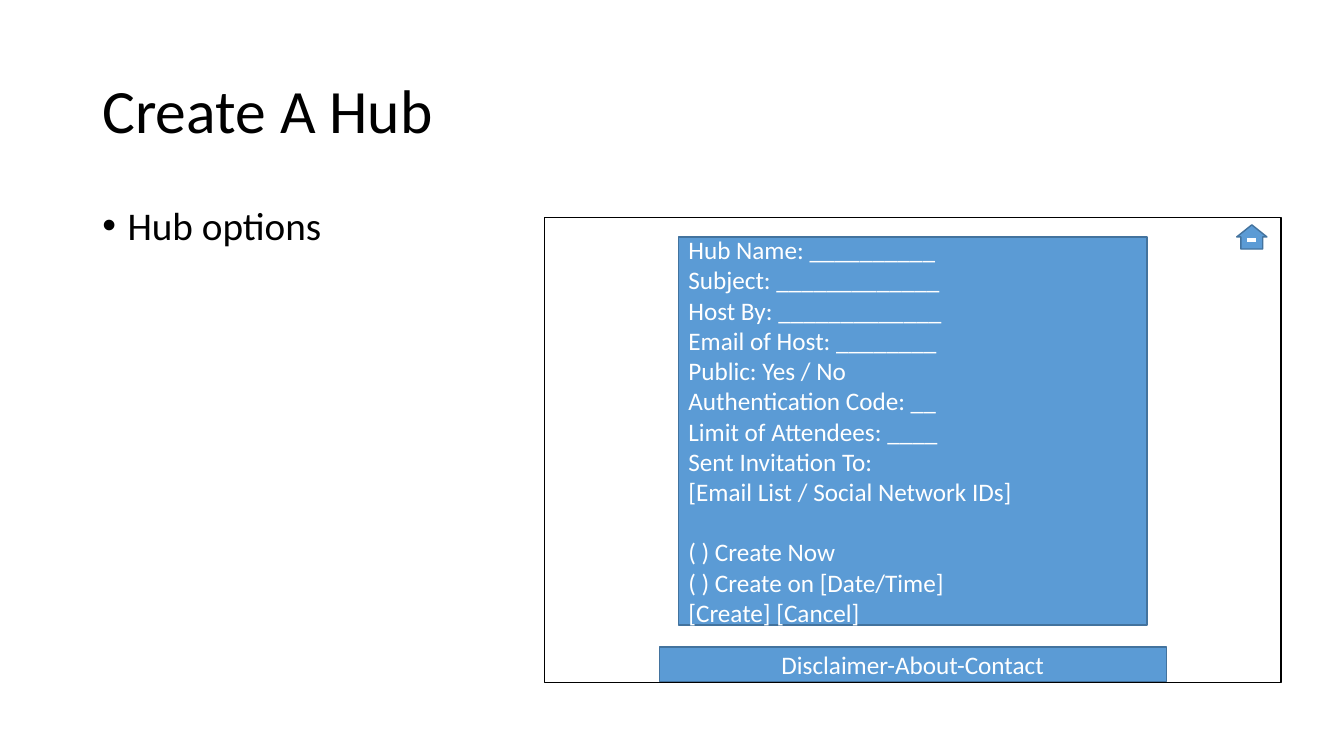
from lxml import etree
from pptx import Presentation
from pptx.dml.color import RGBColor
from pptx.enum.shapes import MSO_SHAPE
from pptx.enum.text import MSO_ANCHOR, MSO_AUTO_SIZE, PP_ALIGN
from pptx.oxml.ns import qn
from pptx.util import Pt

FONT = "Calibri"
BLACK, WHITE, BLUE, DARK_BLUE = "000000", "FFFFFF", "5B9BD5", "43739E"
FORM_LINE = 21.6
FORM_FIELDS = [
    "Hub Name: __________",
    "Subject: _____________",
    "Host By: _____________",
    "Email of Host: ________",
    "Public: Yes / No",
    "Authentication Code: __",
    "Limit of Attendees: ____",
    "Sent Invitation To:",
    "[Email List / Social Network IDs]",
]
FORM_ACTIONS = ["( ) Create Now", "( ) Create on [Date/Time]", "[Create] [Cancel]"]


def rgb(hex_color):
    """Turn a hex string into a colour."""
    return RGBColor.from_string(hex_color)


def write(frame, lines, size, color, align=PP_ALIGN.LEFT, anchor=MSO_ANCHOR.MIDDLE):
    """Fill a text frame with one paragraph per line and return the paragraphs."""
    frame.word_wrap = True
    frame.auto_size = MSO_AUTO_SIZE.NONE
    frame.vertical_anchor = anchor
    frame.text = "\n".join(lines)
    for paragraph in frame.paragraphs:
        paragraph.alignment = align
        font = paragraph.runs[0].font
        font.name, font.size, font.color.rgb = FONT, Pt(size), rgb(color)
    return frame.paragraphs


def add_box(shapes, box, fill=BLUE, line=DARK_BLUE, kind=MSO_SHAPE.RECTANGLE):
    """Add a filled, outlined preset shape without shadow."""
    shape = shapes.add_shape(kind, *map(Pt, box))
    shape.shadow.inherit = False
    shape.fill.solid()
    shape.fill.fore_color.rgb = rgb(fill)
    shape.line.color.rgb = rgb(line)
    shape.line.width = Pt(1)
    return shape


def set_title(slide, text, box):
    """Place and format the title placeholder."""
    title = slide.shapes.title
    title.left, title.top, title.width, title.height = map(Pt, box)
    write(title.text_frame, [text], 44, BLACK)[0].line_spacing = 0.9


def add_bullets(slide, lines, box):
    """Add a text box with a bulleted list."""
    frame = slide.shapes.add_textbox(*map(Pt, box)).text_frame
    for paragraph in write(frame, lines, 28, BLACK, anchor=MSO_ANCHOR.TOP):
        paragraph.line_spacing = 0.9
        paragraph.space_before = Pt(10)
        props = paragraph._p.get_or_add_pPr()
        props.set("marL", str(Pt(18)))
        props.set("indent", str(-Pt(18)))
        etree.SubElement(props, qn("a:buFont")).set("typeface", "Arial")
        etree.SubElement(props, qn("a:buChar")).set("char", "•")


def add_form(slide, box):
    """Add the hub form, with a one-line gap before its actions."""
    form = add_box(slide.shapes, box)
    paragraphs = write(form.text_frame, FORM_FIELDS + FORM_ACTIONS, 18, WHITE)
    paragraphs[len(FORM_FIELDS)].space_before = Pt(FORM_LINE)


def add_home_icon(slide, left, top):
    """Add a house: a wide up arrow with a small window, grouped."""
    house = slide.shapes.add_group_shape().shapes
    roof = add_box(house, (left, top, 21.6, 17.3), kind=MSO_SHAPE.UP_ARROW)
    roof.adjustments[0], roof.adjustments[1] = 0.722, 0.5
    add_box(house, (left + 7.2, top + 8.6, 7.2, 4.3), WHITE, BLUE)


def main():
    """Build and save the slide."""
    deck = Presentation()
    deck.slide_width, deck.slide_height = Pt(960), Pt(540)
    slide = deck.slides.add_slide(deck.slide_layouts[5])
    set_title(slide, "Create A Hub", (66, 28.8, 828, 104.4))
    add_bullets(slide, ["Hub options"], (66, 144, 240, 342.7))
    add_box(slide.shapes, (388.8, 155.5, 526.3, 332), WHITE, BLACK)
    footer = add_box(slide.shapes, (470.9, 462.2, 362.2, 24.5))
    write(footer.text_frame, ["Disclaimer-About-Contact"], 18, WHITE, PP_ALIGN.CENTER)
    add_form(slide, (484.6, 169.2, 334.8, 277.2))
    add_home_icon(slide, 883.4, 160.6)
    deck.save("out.pptx")


main()
